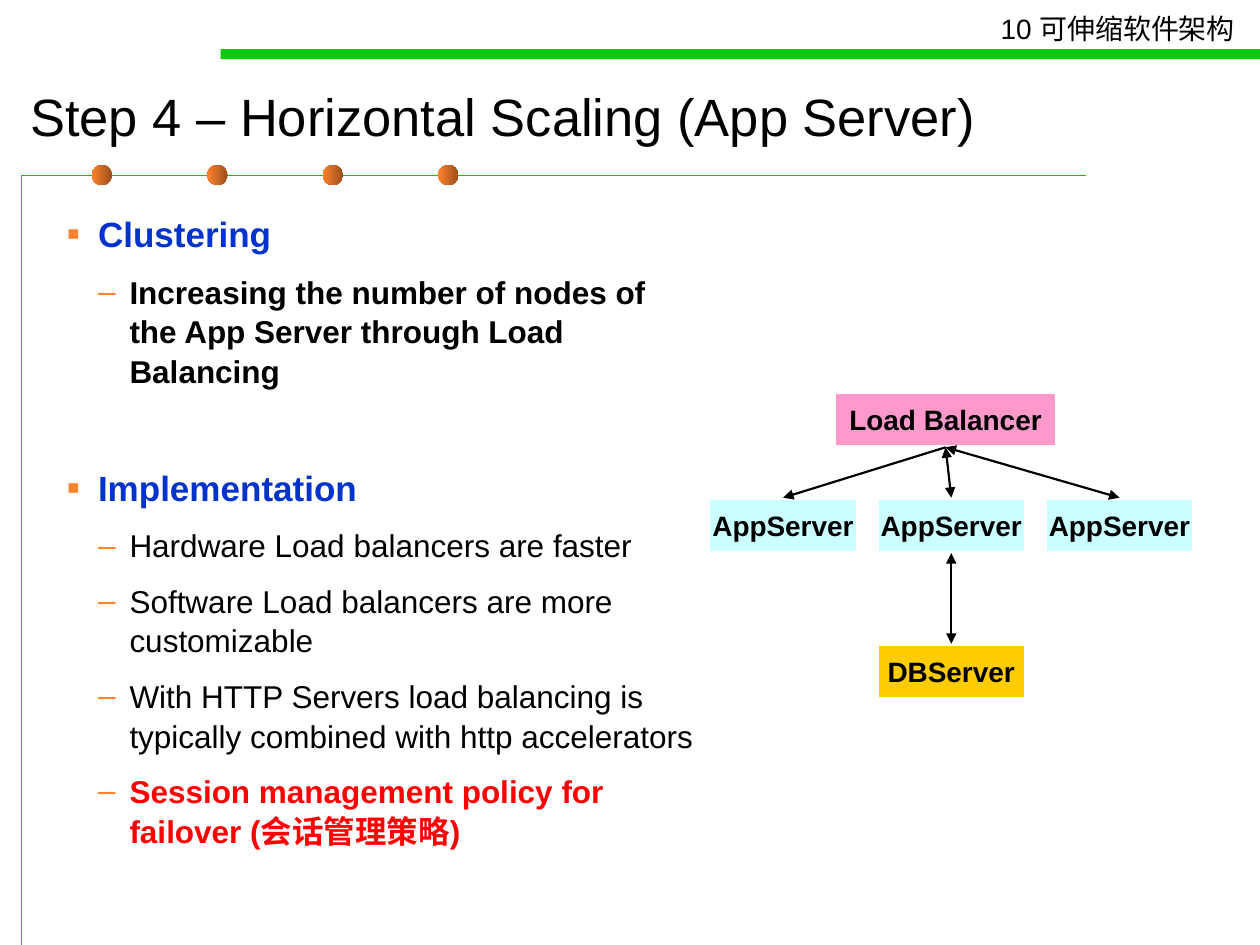
import pptx
import pptx.dml.color
import pptx.enum.shapes
import pptx.enum.text
import pptx.oxml
import pptx.oxml.ns
import pptx.util
from lxml import etree

RGBColor = pptx.dml.color.RGBColor
Shape = pptx.enum.shapes.MSO_SHAPE
Align = pptx.enum.text.PP_ALIGN
Anchor = pptx.enum.text.MSO_ANCHOR
AutoSize = pptx.enum.text.MSO_AUTO_SIZE
qn = pptx.oxml.ns.qn

PX = 9144
FONT = "Arial"
BLACK = RGBColor(0x00, 0x00, 0x00)
WHITE = RGBColor(0xFF, 0xFF, 0xFF)
GREEN = RGBColor(0x00, 0xCC, 0x00)
BROWN = RGBColor(0x9A, 0x4E, 0x1B)
ORANGE = RGBColor(0xFF, 0x82, 0x2D)
BLUE = RGBColor(0x00, 0x33, 0xCC)
RED = RGBColor(0xFF, 0x00, 0x00)
PINK = RGBColor(0xFF, 0x99, 0xCC)
CYAN = RGBColor(0xCC, 0xFF, 0xFF)
YELLOW = RGBColor(0xFF, 0xCC, 0x00)

TOPICS = [
    ("Clustering", [
        ("Increasing the number of nodes of the App Server through Load Balancing", BLACK, True),
    ]),
    ("Implementation", [
        ("Hardware Load balancers are faster", BLACK, False),
        ("Software Load balancers are more customizable", BLACK, False),
        ("With HTTP Servers load balancing is typically combined with http accelerators", BLACK, False),
        ("Session management policy for failover (会话管理策略)", RED, True),
    ]),
]


def emu(*lengths):
    return [round(length * PX) for length in lengths]


def style_font(paragraph, size, color=BLACK, bold=False):
    font = paragraph.font
    font.name = FONT
    font.size = pptx.util.Pt(size)
    font.bold = bold
    font.color.rgb = color


def add_plain_shape(shapes, kind, box):
    shape = shapes.add_shape(kind, *emu(*box))
    shape.shadow.inherit = False
    shape.line.fill.background()
    return shape


def add_frame(shapes, left, top, width, height):
    builder = shapes.build_freeform(left, top + height, scale=PX)
    builder.add_line_segments([(left, top), (left + width, top)], close=False)
    corner = builder.convert_to_shape()
    corner.shadow.inherit = False
    corner.fill.background()
    corner.line.color.rgb = GREEN
    corner.line.width = pptx.util.Pt(0.75)
    for index in range(4):
        dot = add_plain_shape(shapes, Shape.OVAL, (left + 56 + index * 91.67, top - 8, 16, 16))
        dot.fill.gradient()
        dot.fill.gradient_angle = 180
        for stop, color in zip(dot.fill.gradient_stops, (BROWN, ORANGE)):
            stop.color.rgb = color


def add_header(shapes, left, top, width, height):
    bar = add_plain_shape(shapes, Shape.RECTANGLE, (left, top + height - 8, width, 8))
    bar.fill.solid()
    bar.fill.fore_color.rgb = GREEN
    chapter = shapes.add_textbox(*emu(left + width - 221, top, 211, 37))
    chapter.text_frame.word_wrap = False
    paragraph = chapter.text_frame.paragraphs[0]
    paragraph.text = "10 可伸缩软件架构"
    paragraph.alignment = Align.RIGHT
    style_font(paragraph, 16)


def place_title(title, box):
    title.left, title.top, title.width, title.height = emu(*box)
    frame = title.text_frame
    frame.auto_size = AutoSize.NONE
    frame.vertical_anchor = Anchor.MIDDLE
    paragraph = frame.paragraphs[0]
    paragraph.text = "Step 4 – Horizontal Scaling (App Server)"
    paragraph.alignment = Align.LEFT
    style_font(paragraph, 30)


def set_bullet(paragraph, mark, indent, percent):
    properties = paragraph._p.get_or_add_pPr()
    margin, hanging = emu(indent, -25)
    properties.set("marL", str(margin))
    properties.set("indent", str(hanging))
    color = etree.SubElement(properties, qn("a:buClr"))
    etree.SubElement(color, qn("a:srgbClr"), val=str(ORANGE))
    etree.SubElement(properties, qn("a:buSzPct"), val=str(percent * 1000))
    etree.SubElement(properties, qn("a:buFont"), typeface=FONT)
    etree.SubElement(properties, qn("a:buChar"), char=mark)


def add_topics(shapes, box):
    frame = shapes.add_textbox(*emu(*box)).text_frame
    frame.word_wrap = True

    def add_point(text, mark, indent, percent, before, after):
        first = not frame.paragraphs[0].text
        paragraph = frame.paragraphs[0] if first else frame.add_paragraph()
        paragraph.text = text
        paragraph.line_spacing = 1.05
        paragraph.space_before = pptx.util.Pt(0 if first else before)
        paragraph.space_after = pptx.util.Pt(after)
        set_bullet(paragraph, mark, indent, percent)
        return paragraph

    for topic, points in TOPICS:
        style_font(add_point(topic, "▪", 25, 110, 39, 3.7), 20, BLUE, True)
        for text, color, bold in points:
            style_font(add_point(text, "–", 50, 100, 5.6, 3.4), 18, color, bold)


def add_node(shapes, label, color, box):
    node = add_plain_shape(shapes, Shape.RECTANGLE, box)
    node.fill.solid()
    node.fill.fore_color.rgb = color
    node.line.color.rgb = WHITE
    node.line.width = pptx.util.Pt(1.25)
    frame = node.text_frame
    frame.word_wrap = False
    frame.vertical_anchor = Anchor.MIDDLE
    paragraph = frame.paragraphs[0]
    paragraph.text = label
    paragraph.alignment = Align.CENTER
    style_font(paragraph, 16, BLACK, True)


def add_arrow(shapes, start, end, both_ways=True):
    arrow = shapes.add_connector(pptx.enum.shapes.MSO_CONNECTOR.STRAIGHT, *emu(*start, *end))
    arrow.line.color.rgb = BLACK
    arrow.line.width = pptx.util.Pt(1.25)
    line = arrow.line._get_or_add_ln()
    for tag in ("a:headEnd", "a:tailEnd") if both_ways else ("a:tailEnd",):
        etree.SubElement(line, qn(tag), type="triangle")
    etree.SubElement(arrow._element.spPr, qn("a:effectLst"))


def add_cluster(shapes, left, top, width, height):
    node_width, node_height = 117, 42
    server_top, database_top = top + 84, top + height - node_height
    server_lefts = [left + index * (width - node_width) / 2 for index in range(3)]
    centers = [server_left + node_width / 2 for server_left in server_lefts]
    balancer_left, balancer_width = left + 100, 175
    for server_left in server_lefts:
        add_node(shapes, "AppServer", CYAN, (server_left, server_top, node_width, node_height))
    add_node(shapes, "Load Balancer", PINK, (balancer_left, top, balancer_width, node_height))
    add_node(shapes, "DBServer", YELLOW, (server_lefts[1], database_top, node_width, node_height))
    add_arrow(shapes, (centers[1], server_top + node_height + 1), (centers[1], database_top - 1))
    hub = (balancer_left + balancer_width / 2, top + node_height + 1)
    for index, center in enumerate(centers):
        add_arrow(shapes, hub, (center, server_top - 1), both_ways=index > 0)


def main():
    deck = pptx.Presentation()
    deck.slide_width, deck.slide_height = emu(1000, 750)
    slide = deck.slides.add_slide(deck.slide_layouts[5])
    shapes = slide.shapes
    add_frame(shapes, 17, 139, 845, 611)
    add_header(shapes, 175, 4, 825, 43)
    place_title(shapes.title, (14, 56, 929, 71))
    add_topics(shapes, (43, 162, 520, 559))
    add_cluster(shapes.add_group_shape().shapes, 563, 312, 384, 242)
    deck.save("out.pptx")


if __name__ == "__main__":
    main()
